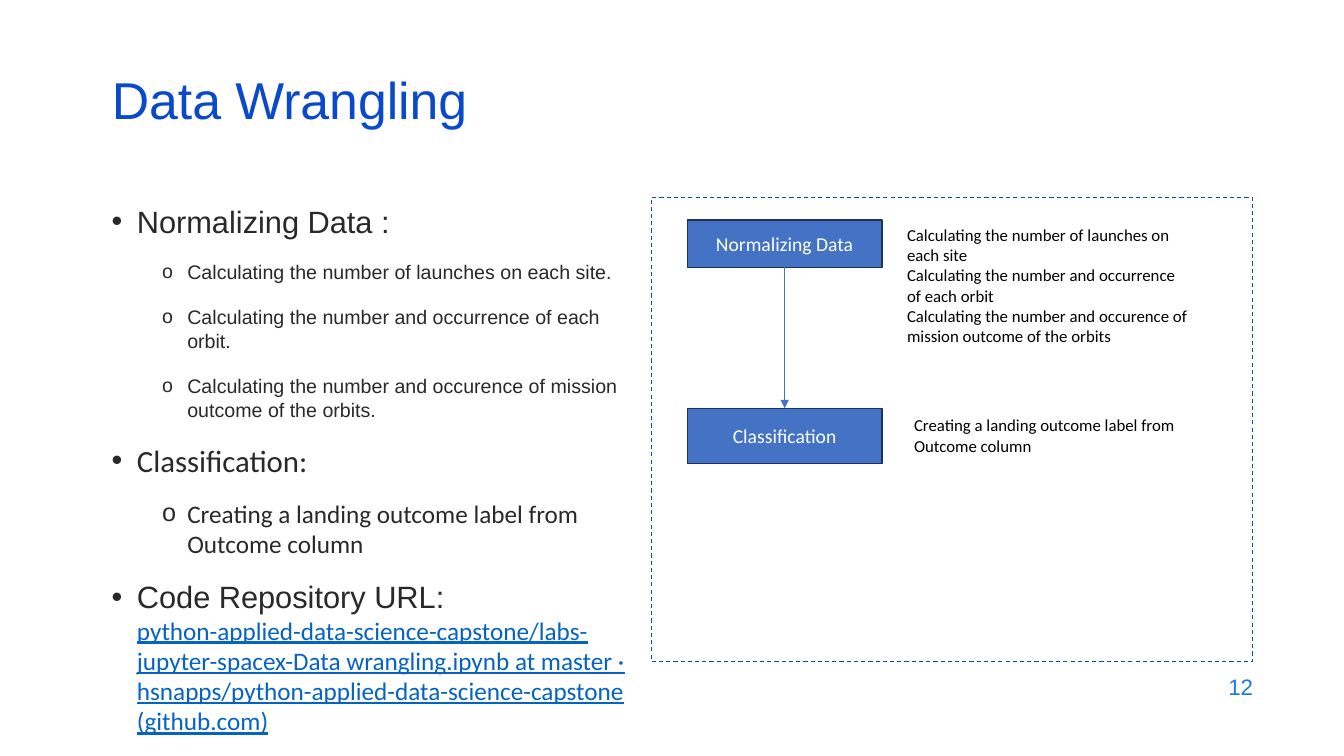
from lxml import etree
from pptx import Presentation
from pptx.dml.color import RGBColor
from pptx.enum import dml, shapes, text
from pptx.oxml import ns
from pptx.util import Pt

TITLE_BLUE = RGBColor(0x0B, 0x49, 0xCB)
NUMBER_BLUE = RGBColor(0x1C, 0x7D, 0xDB)
LINK_BLUE = RGBColor(0x05, 0x63, 0xC1)
STEP_BLUE = RGBColor(0x44, 0x72, 0xC4)
STEP_EDGE = RGBColor(0x1E, 0x32, 0x56)
INK = RGBColor(0x29, 0x29, 0x29)
BLACK = RGBColor(0, 0, 0)
WHITE = RGBColor(255, 255, 255)


def write(paragraph, words, size, color, font="Calibri", underline=None, align=None):
    run = paragraph.add_run()
    run.text = words
    run.font.size = Pt(size)
    run.font.name = font
    run.font.color.rgb = color
    run.font.underline = underline
    if align is not None:
        paragraph.alignment = align


def add_element(parent, tag, **attributes):
    return etree.SubElement(parent, ns.qn(tag), **attributes)


deck = Presentation()
deck.slide_width, deck.slide_height = Pt(960), Pt(540)
slide = deck.slides.add_slide(deck.slide_layouts[5])

title = slide.shapes.title
title.left, title.top, title.width, title.height = Pt(72.7), Pt(54.7), Pt(828), Pt(43.2)
title.text_frame.auto_size = text.MSO_AUTO_SIZE.NONE
title.text_frame.vertical_anchor = text.MSO_ANCHOR.MIDDLE
heading = title.text_frame.paragraphs[0]
heading.line_spacing = 0.7
write(heading, "Data Wrangling", 37, TITLE_BLUE, font="Arial", align=text.PP_ALIGN.LEFT)

page_number = slide.shapes.add_textbox(Pt(686.2), Pt(474.5), Pt(216), Pt(31.7)).text_frame
page_number.word_wrap = True
page_number.vertical_anchor = text.MSO_ANCHOR.MIDDLE
write(page_number.paragraphs[0], "12", 16, NUMBER_BLUE, font="Arial", align=text.PP_ALIGN.RIGHT)

outline = slide.shapes.add_textbox(Pt(72.7), Pt(141.1), Pt(380.9), Pt(299.5)).text_frame
outline.word_wrap = True
outline_items = [
    (0, "Normalizing Data\u00a0:", 22, "Arial"),
    (1, "Calculating the number of launches on each site.", 14, "Arial"),
    (1, "Calculating the number and occurrence of each orbit.", 14, "Arial"),
    (1, "Calculating the number and occurence of mission outcome of the orbits.", 14, "Arial"),
    (0, "Classification:", 22, "Calibri"),
    (1, "Creating a landing outcome label from Outcome\u00a0column", 18, "Calibri"),
    (0, "Code Repository URL:", 22, "Arial"),
]
for index, (level, words, size, font) in enumerate(outline_items):
    item = outline.add_paragraph() if index else outline.paragraphs[0]
    item.level = level
    properties = item._p.get_or_add_pPr()
    properties.set("marL", str(Pt(18 + 36 * level)))
    properties.set("indent", str(Pt(-18)))
    add_element(properties, "a:buFont", typeface="Arial")
    add_element(properties, "a:buChar", char="•o"[level])
    if index:
        item.space_before = Pt(14)
    if size == 14:
        item.line_spacing = 1.05
    write(item, words, size, INK, font=font)
item.add_line_break()
write(item, "python-applied-data-science-capstone/labs-jupyter-spacex-Data wrangling.ipynb "
      "at master · hsnapps/python-applied-data-science-capstone (github.com)",
      18, LINK_BLUE, underline=True)

frame = slide.shapes.add_shape(shapes.MSO_SHAPE.RECTANGLE, Pt(465.1), Pt(141.1), Pt(429.8), Pt(331.2))
frame.shadow.inherit = False
frame.fill.background()
frame.line.color.rgb = TITLE_BLUE
frame.line.width = Pt(0.75)
frame.line.dash_style = dml.MSO_LINE.DASH

flow = [
    ("Normalizing Data", 157, 34, 640.8, 157, 94.3, [
        "Calculating the number of launches on each site",
        "Calculating the number and occurrence of each orbit",
        "Calculating the number and occurence of mission outcome of the orbits",
    ]),
    ("Classification", 291.6, 39.6, 645.8, 293, 36, [
        "Creating a landing outcome label from Outcome column",
    ]),
]
steps = []
for name, top, height, note_left, note_top, note_height, lines in flow:
    step = slide.shapes.add_shape(shapes.MSO_SHAPE.FLOWCHART_PROCESS, Pt(491), Pt(top), Pt(139), Pt(height))
    step.shadow.inherit = False
    step.fill.solid()
    step.fill.fore_color.rgb = STEP_BLUE
    step.line.color.rgb = STEP_EDGE
    step.line.width = Pt(1)
    step.text_frame.vertical_anchor = text.MSO_ANCHOR.MIDDLE
    write(step.text_frame.paragraphs[0], name, 14, WHITE, align=text.PP_ALIGN.CENTER)
    steps.append(step)

    note = slide.shapes.add_textbox(Pt(note_left), Pt(note_top), Pt(214.6), Pt(note_height)).text_frame
    note.word_wrap = True
    note.auto_size = text.MSO_AUTO_SIZE.SHAPE_TO_FIT_TEXT
    for index, line in enumerate(lines):
        write(note.add_paragraph() if index else note.paragraphs[0], line, 12, BLACK)

arrow = slide.shapes.add_connector(shapes.MSO_CONNECTOR.STRAIGHT, Pt(560.5), Pt(191), Pt(560.5), Pt(291.6))
arrow.begin_connect(steps[0], 2)
arrow.end_connect(steps[1], 0)
arrow.line.color.rgb = STEP_BLUE
arrow.line.width = Pt(0.5)
add_element(arrow.line._get_or_add_ln(), "a:tailEnd", type="triangle")
add_element(arrow._element.spPr, "a:effectLst")

deck.save("out.pptx")
